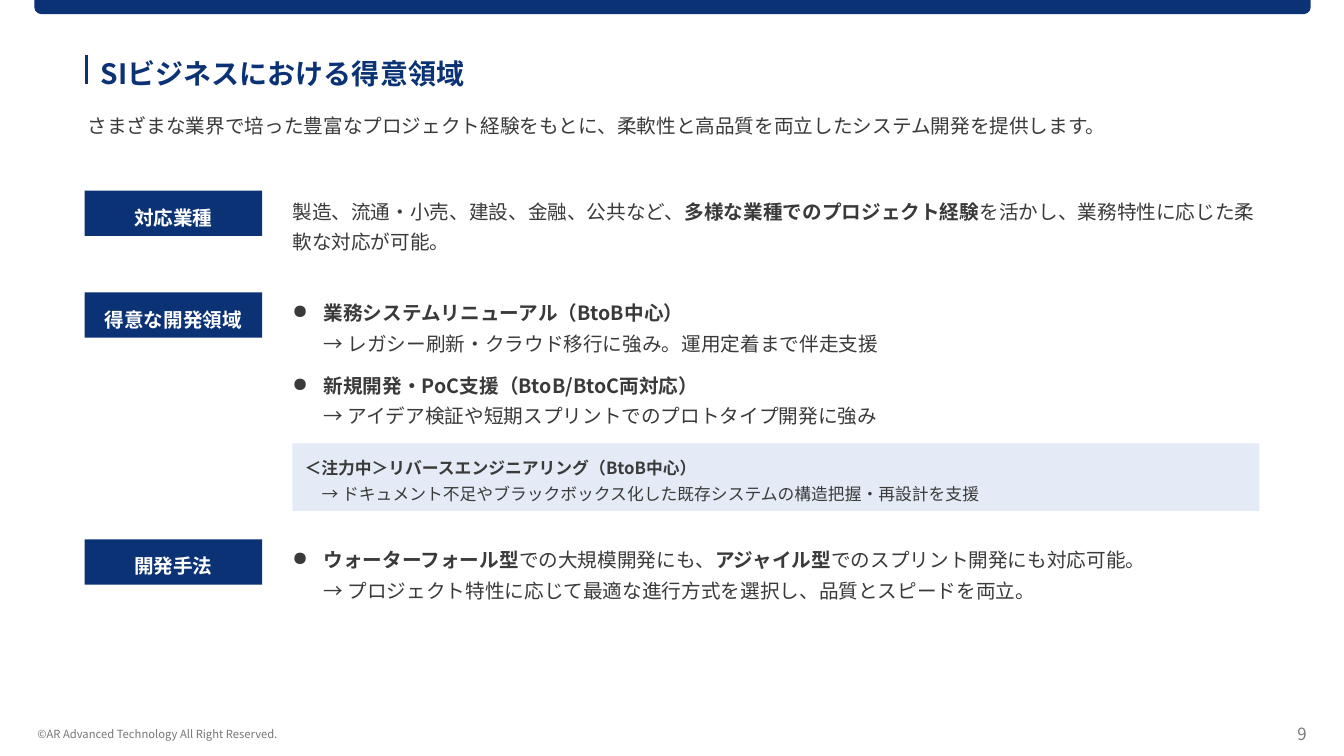
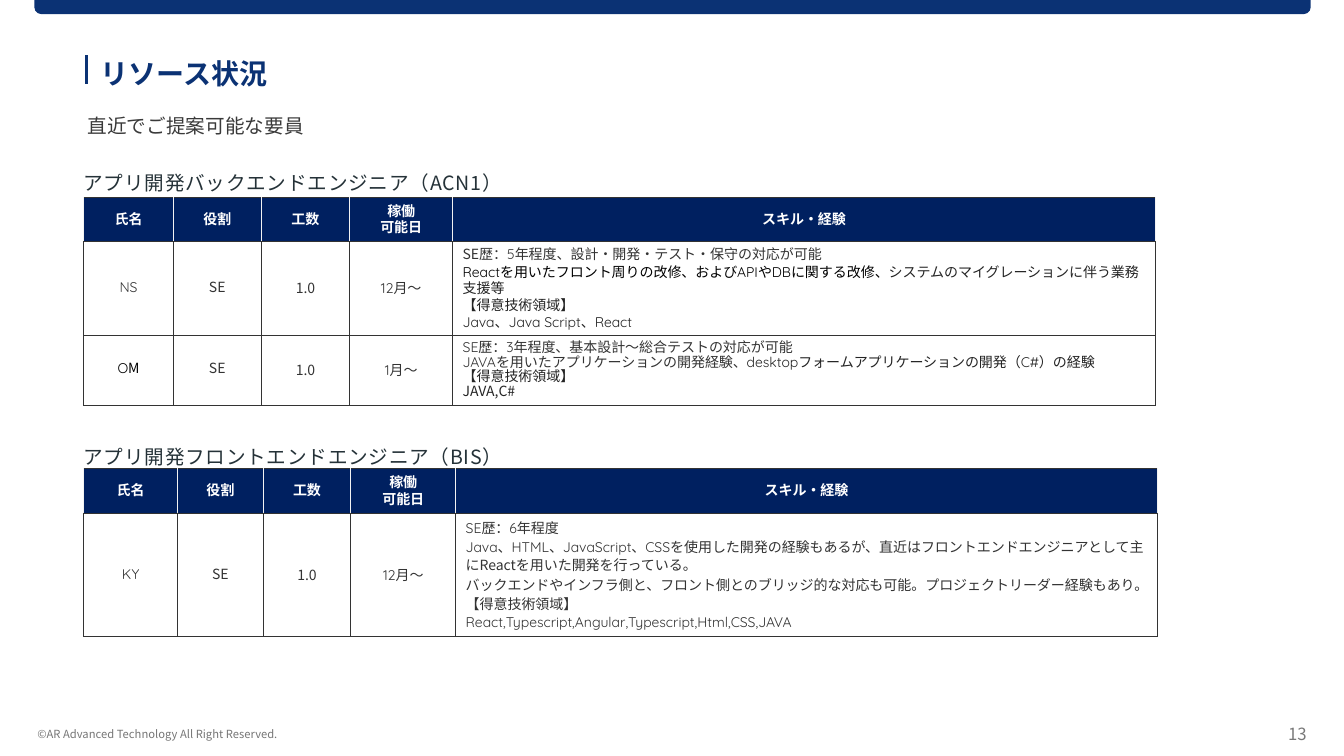
"""Builds two company slides: areas of strength and available engineers."""
from lxml import etree
from pptx import Presentation
from pptx import util as u
from pptx.dml import color as dml
from pptx.enum import shapes, text
from pptx.oxml import ns

NAVY, HEADER_NAVY, PALE, WHITE = "0B3274", "002060", "E4EBF6", "FFFFFF"
INK, TABLE_INK, SKILL_INK, BLACK, GRID = "3A3A3A", "333333", "242424", "000000", "F2F2F2"
SANS, ROUND = "Noto Sans CJK JP", "Quicksand"
CENTER, RIGHT = text.PP_ALIGN.CENTER, text.PP_ALIGN.RIGHT
TOP, MIDDLE = text.MSO_ANCHOR.TOP, text.MSO_ANCHOR.MIDDLE
BOLD = {"bold": True}
rgb = dml.RGBColor.from_string


def add_box(page, at, fill=None, inset=(0, 0.02), anchor=TOP):
    """Add a text box, or a filled rectangle, and return its text frame."""
    place = [u.Inches(value) for value in at]
    if fill:
        box = page.shapes.add_shape(shapes.MSO_SHAPE.RECTANGLE, *place)
        box.shadow.inherit = False
        box.fill.solid()
        box.fill.fore_color.rgb = rgb(fill)
        box.line.fill.background()
    else:
        box = page.shapes.add_textbox(*place)
    frame = box.text_frame
    frame.word_wrap = True
    frame.vertical_anchor = anchor
    frame.margin_left = frame.margin_right = u.Inches(inset[0])
    frame.margin_top = frame.margin_bottom = u.Inches(inset[1])
    return frame


def write(frame, paragraphs, size=14, color=INK, font=SANS, bold=False,
          spacing=1.3, before=0, align=text.PP_ALIGN.LEFT, bullet=False, tracking=0):
    """Fill a frame; a paragraph is a list of strings or (string, overrides) spans."""
    for index, spans in enumerate(paragraphs):
        para = frame.add_paragraph() if index else frame.paragraphs[0]
        para.alignment = align
        para.line_spacing = spacing
        para.space_before = u.Pt(before if index else 0)
        props = para._p.get_or_add_pPr()
        if bullet:
            props.set("marL", str(u.Inches(0.31)))
            props.set("indent", str(-u.Inches(0.31)))
            etree.SubElement(props, ns.qn("a:buChar"), char="●")
        para.font.size = u.Pt(size)
        para.font.bold = bold
        para.font.color.rgb = rgb(color)
        para.font.name = font
        defaults = props.find(ns.qn("a:defRPr"))
        etree.SubElement(defaults, ns.qn("a:ea"), typeface=font)
        if tracking:
            defaults.set("spc", str(tracking))
        for item in spans:
            words, changes = (item, {}) if isinstance(item, str) else item
            for number, line in enumerate(words.split("\n")):
                if number:
                    para.add_line_break()
                if not line:
                    continue
                span = para.add_run()
                span.text = line
                if "bold" in changes:
                    span.font.bold = changes["bold"]
                if "color" in changes:
                    span.font.color.rgb = rgb(changes["color"])
                if "font" in changes:
                    span.font.name = changes["font"]
                    etree.SubElement(span._r.get_or_add_rPr(), ns.qn("a:ea"),
                                     typeface=changes["font"])


deck = Presentation()
deck.slide_width, deck.slide_height = u.Inches(13.33), u.Inches(7.5)

pages = []
for title, lead, number in [
    ("SIビジネスにおける得意領域",
     "さまざまな業界で培った豊富なプロジェクト経験をもとに、柔軟性と高品質を両立したシステム開発を提供します。", "9"),
    ("リソース状況", "直近でご提案可能な要員", "13"),
]:
    page = deck.slides.add_slide(deck.slide_layouts[6])
    pages.append(page)
    band = page.shapes.add_shape(shapes.MSO_SHAPE.ROUND_2_SAME_RECTANGLE, u.Inches(0.34), 0,
                                 u.Inches(12.66), u.Inches(0.14))
    band.rotation = 180
    band.adjustments[0], band.adjustments[1] = 0.5, 0
    band.shadow.inherit = False
    band.fill.solid()
    band.fill.fore_color.rgb = rgb(NAVY)
    band.line.fill.background()
    mark = page.shapes.add_connector(shapes.MSO_CONNECTOR.STRAIGHT, u.Inches(0.86), u.Inches(0.55),
                                     u.Inches(0.86), u.Inches(0.83))
    mark.line.color.rgb = rgb(NAVY)
    mark.line.width = u.Pt(2)
    etree.SubElement(mark._element.spPr, ns.qn("a:effectLst"))
    write(add_box(page, (1, 0.49, 11.49, 0.47), inset=(0, 0), anchor=MIDDLE), [[title]],
          size=20, color=NAVY, bold=True, spacing=1.0)
    write(add_box(page, (0.87, 1.04, 11.62, 0.32)), [[lead]])
    for left, width, words, size, color, align in [
        (0.37, 3.94, "©AR Advanced Technology All Right Reserved.", 8, "767676", text.PP_ALIGN.LEFT),
        (11.39, 1.57, number, 12, "797979", RIGHT),
    ]:
        footer = add_box(page, (left, 7.14, width, 0.24), inset=(0, 0), anchor=MIDDLE)
        footer.margin_top = u.Inches(0.04)
        write(footer, [[words]], size=size, color=color, spacing=1.0, align=align)

strengths, resources = pages

for label, top, height, bullet, paragraphs in [
    ("対応業種", 1.89, 0.63, False, [
        ["製造、流通・小売、建設、金融、公共など、", ("多様な業種でのプロジェクト経験", BOLD),
         "を活かし、業務特性に応じた柔軟な対応が可能。"]]),
    ("得意な開発領域", 2.9, 1.35, True, [
        [("業務システムリニューアル（BtoB中心）", BOLD),
         "\n→ レガシー刷新・クラウド移行に強み。運用定着まで伴走支援"],
        [("新規開発・PoC支援（BtoB/BtoC両対応）", BOLD),
         "\n→ アイデア検証や短期スプリントでのプロトタイプ開発に強み"]]),
    ("開発手法", 5.35, 0.63, True, [
        [("ウォーターフォール型", BOLD), "での大規模開発にも、", ("アジャイル型", BOLD),
         "でのスプリント開発にも対応可能。\n→ プロジェクト特性に応じて最適な進行方式を選択し、品質とスピードを両立。"]]),
]:
    write(add_box(strengths, (0.84, top, 1.76, 0.45), NAVY, (0.16, 0.08)), [[label]],
          color=WHITE, bold=True, align=CENTER)
    write(add_box(strengths, (2.9, top, 9.59, height)), paragraphs, before=8, bullet=bullet)

focus = add_box(strengths, (2.9, 4.4, 9.59, 0.67), PALE, (0.12, 0.08))
write(focus, [[("＜注力中＞リバースエンジニアリング（BtoB中心）", BOLD)],
              ["→ ドキュメント不足やブラックボックス化した既存システムの構造把握・再設計を支援"]], size=12)
focus.paragraphs[1]._p.get_or_add_pPr().set("marL", str(u.Inches(0.17)))

headings = [[["氏名"]], [["役割"]], [["工数"]], [["稼働"], ["可能日"]], [["スキル・経験"]]]
column_fonts = [ROUND, SANS, SANS, ROUND, ROUND]
backend = [
    ([10.5, 10.5, 12, 12, 12], [
        [["NS"]], [["SE"]], [["1.0"]], [["12月～"]],
        [[("SE", {"font": SANS}), "歴：5年程度、設計・開発・テスト・保守の対応が可能"],
         [("Reactを用いたフロント周りの改修、およびAPIやDBに関する改修、", {"color": BLACK}),
          ("システムのマイグレーションに伴う業務支援等", {"color": SKILL_INK})],
         [("【得意技術領域】", {"color": SKILL_INK})],
         [("Java、Java Script、React", {"color": SKILL_INK})]]]),
    ([10.5, 10.5, 12, 12, 10.5], [
        [[("O", {"color": BLACK}), ("M", {"color": BLACK, "font": SANS})]],
        [["SE"]], [["1.0"]], [["1月～"]],
        [["SE歴：3年程度、基本設計～総合テストの対応が可能"],
         ["JAVAを用いたアプリケーションの開発経験、",
          ("desktopフォームアプリケーションの開発（C#）の経験", {"color": SKILL_INK})],
         [("【得意技術領域】", {"color": SKILL_INK, "font": SANS})],
         [("JAVA,C#", {"color": SKILL_INK, "font": SANS})]]]),
]
frontend = [
    ([12, 12, 13.5, 13.5, 13.5], [
        [["KY"]], [["SE"]], [["1.0"]], [["12月～"]],
        [["SE歴：6年程度"],
         ["Java、HTML、JavaScript、CSSを使用した開発の経験もあるが、直近はフロントエンドエンジニアとして主に",
          ("React", {"font": SANS}), "を用いた開発を行っている。"],
         ["バックエンドやインフラ側と、フロント側とのブリッジ的な対応も可能。プロジェクトリーダー経験もあり。"],
         ["【得意技術領域】"],
         ["React,Typescript,Angular,Typescript,Html,CSS,JAVA"]]]),
]

for caption, caption_top, table_top, widths, heights, people in [
    ("アプリ開発バックエンドエンジニア（ACN1）", 1.58, 1.96,
     [0.89, 0.87, 0.88, 1.02, 6.97], [0.44, 0.91, 0.69], backend),
    ("アプリ開発フロントエンドエンジニア（BIS）", 4.3, 4.65,
     [0.93, 0.85, 0.87, 1.04, 6.96], [0.44, 1.22], frontend),
]:
    write(add_box(resources, (0.83, caption_top, 10.24, 0.47), inset=(0, 0), anchor=MIDDLE),
          [[caption]], color="253238", spacing=1.0, tracking=50)
    rows = [([12] * len(headings), headings)] + people
    table = resources.shapes.add_table(len(rows), len(widths), u.Inches(0.83), u.Inches(table_top),
                                       u.Inches(sum(widths)), u.Inches(sum(heights))).table
    table.first_row = table.horz_banding = False
    for column, width in zip(table.columns, widths):
        column.width = u.Inches(width)
    for row_index, (spacings, contents) in enumerate(rows):
        table.rows[row_index].height = u.Inches(heights[row_index])
        header = row_index == 0
        for column_index, paragraphs in enumerate(contents):
            cell = table.cell(row_index, column_index)
            cell.vertical_anchor = MIDDLE
            for side in ("lnL", "lnR", "lnT", "lnB"):
                edge = etree.SubElement(cell._tc.get_or_add_tcPr(), ns.qn("a:" + side),
                                        w=str(u.Pt(0.86)))
                paint = etree.SubElement(edge, ns.qn("a:solidFill"))
                etree.SubElement(paint, ns.qn("a:srgbClr"),
                                 val=GRID if header and side in ("lnL", "lnR") else TABLE_INK)
            cell.fill.solid()
            cell.fill.fore_color.rgb = rgb(HEADER_NAVY if header else WHITE)
            skills = not header and column_index == len(widths) - 1
            write(cell.text_frame, paragraphs, size=10, bold=header,
                  color=WHITE if header else TABLE_INK,
                  font=ROUND if header else column_fonts[column_index],
                  spacing=u.Pt(spacings[column_index]),
                  align=text.PP_ALIGN.LEFT if skills else CENTER)

deck.save("out.pptx")
